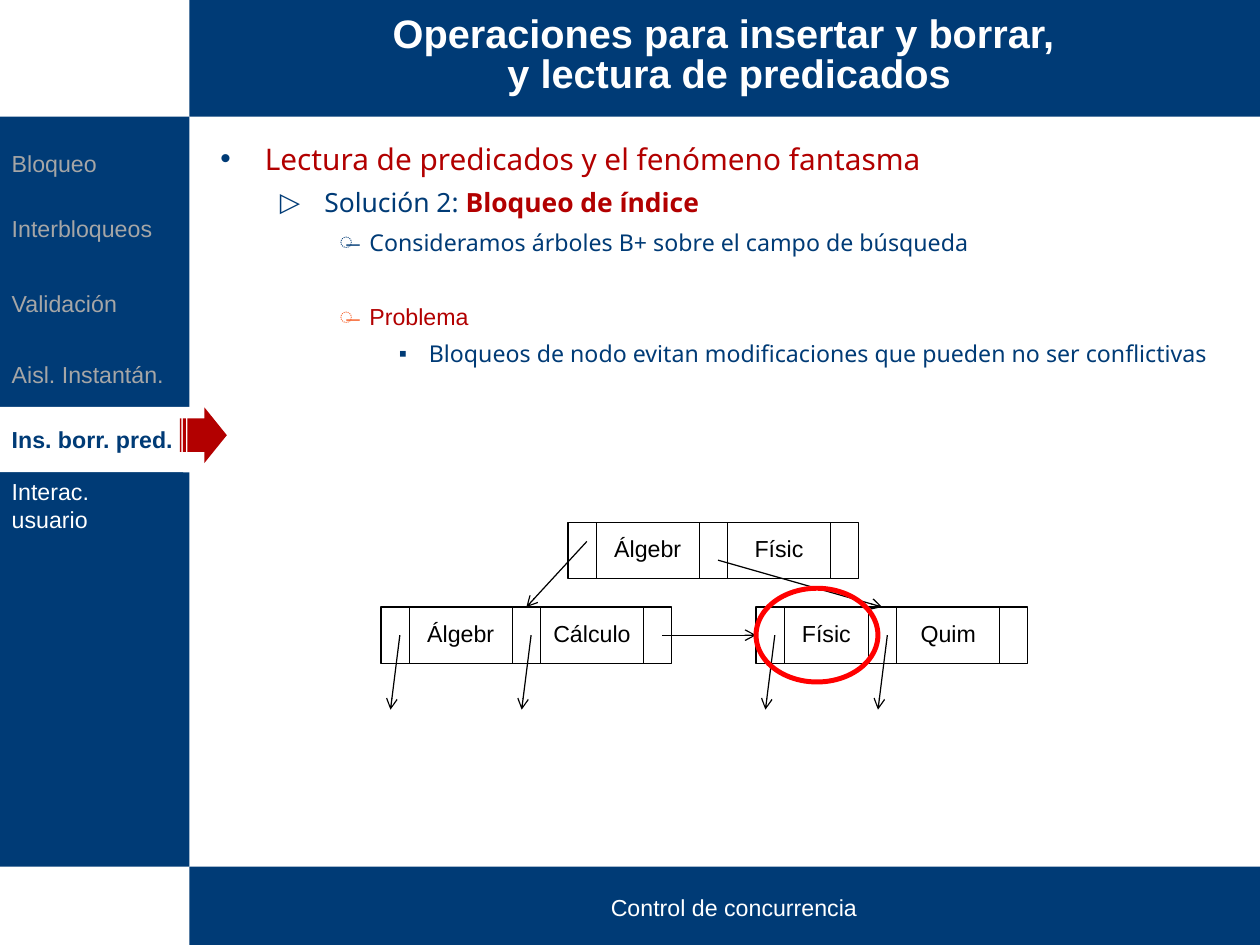
"""Builds a lecture slide on index locking for predicate reads."""
import copy

import pptx
import pptx.dml.color
import pptx.enum.shapes
import pptx.enum.text
import pptx.oxml.ns
import pptx.oxml.xmlchemy
import pptx.util

Cm = pptx.util.Cm
Pt = pptx.util.Pt
RGBColor = pptx.dml.color.RGBColor
SHAPE = pptx.enum.shapes.MSO_SHAPE
ALIGN = pptx.enum.text.PP_ALIGN
ANCHOR = pptx.enum.text.MSO_ANCHOR
OxmlElement = pptx.oxml.xmlchemy.OxmlElement
qn = pptx.oxml.ns.qn

NAVY = RGBColor(0x00, 0x3B, 0x76)
WHITE = RGBColor(0xFF, 0xFF, 0xFF)
BLACK = RGBColor(0x00, 0x00, 0x00)
GREY = RGBColor(0xA6, 0xA6, 0xA6)
CRIMSON = RGBColor(0xB2, 0x00, 0x00)
ORANGE = RGBColor(0xF6, 0x5D, 0x25)
RED = RGBColor(0xFF, 0x00, 0x00)

SANS = "Noto Sans"
POINTER_W, KEY_W, NODE_H = 0.6, 2.2, 1.2
INDENTS = [(0.95, 0.95), (2.22, 0.95), (3.18, 0.64), (4.45, 0.64)]


def box(x, y, w, h):
    """Return a position and size given in centimetres as lengths."""
    return Cm(x), Cm(y), Cm(w), Cm(h)


def write(p, text, size=14, font="Arial", color=WHITE, bold=False, align=None, spacing=None):
    """Add formatted text to a paragraph, with a line break at each newline."""
    if align is not None:
        p.alignment = align
    if spacing is not None:
        p.line_spacing = spacing
    for i, line in enumerate(text.split("\n")):
        if i:
            p.add_line_break()
            p._p[-1].append(copy.deepcopy(r.font._element))
        r = p.add_run()
        r.text = line
        r.font.size = Pt(size)
        r.font.name = font
        r.font.bold = bold
        r.font.color.rgb = color


def add_shape(slide, kind, x, y, w, h, fill=None, line=None, width=0.75):
    """Add a flat preset shape."""
    sp = slide.shapes.add_shape(kind, *box(x, y, w, h))
    sp.shadow.inherit = False
    if fill is None:
        sp.fill.background()
    else:
        sp.fill.solid()
        sp.fill.fore_color.rgb = fill
    if line is None:
        sp.line.fill.background()
    else:
        sp.line.color.rgb = line
        sp.line.width = Pt(width)
    return sp


def add_arrow(slide, x1, y1, x2, y2):
    """Add a thin black line with an open arrowhead at its end."""
    c = slide.shapes.add_connector(
        pptx.enum.shapes.MSO_CONNECTOR.STRAIGHT, Cm(x1), Cm(y1), Cm(x2), Cm(y2))
    c.line.color.rgb = BLACK
    c.line.width = Pt(0.75)
    spPr = c._element.spPr
    tail = OxmlElement("a:tailEnd")
    tail.set("type", "arrow")
    spPr.find(qn("a:ln")).append(tail)
    spPr.append(OxmlElement("a:effectLst"))


def place(sp, x, y, w, h, anchor, inset_x=0.25):
    """Move a text shape and set up its frame."""
    sp.left, sp.top, sp.width, sp.height = box(x, y, w, h)
    tf = sp.text_frame
    tf.word_wrap = True
    tf.auto_size = pptx.enum.text.MSO_AUTO_SIZE.NONE
    tf.vertical_anchor = anchor
    tf.margin_left = tf.margin_right = Cm(inset_x)
    tf.margin_top = tf.margin_bottom = Cm(0.13)
    return tf


def add_menu(slide):
    """Add the section menu at the left with its current entry marked."""
    entries = [("Bloqueo", 1.21, GREY), ("Interbloqueos", 1.6, GREY),
               ("Validación", 1.6, GREY), ("Aisl. Instantán.", 1.4, GREY),
               ("Ins. borr. pred.", 1.4, NAVY), ("Interac. usuario", 1.4, WHITE)]
    y = 2.87
    for text, h, color in entries:
        current = color == NAVY
        sp = add_shape(slide, SHAPE.RECTANGLE, 0, y, 4.34 if current else 3.91, h,
                       fill=WHITE if current else NAVY)
        write(sp.text_frame.paragraphs[0], text, color=color, bold=current, align=ALIGN.LEFT)
        y += h
    marker = add_shape(slide, SHAPE.STRIPED_RIGHT_ARROW, 3.84, 8.69, 1, 1.19, fill=CRIMSON)
    marker.adjustments[0] = 0.6
    marker.adjustments[1] = 0.48


def add_bullet(p, level, char, color, before=6):
    """Give a paragraph its level, hanging indent and bullet."""
    p.level = level
    p.space_before = Pt(before)
    pPr = p._p.get_or_add_pPr()
    left, hang = INDENTS[level]
    pPr.set("marL", str(Cm(left)))
    pPr.set("indent", str(-Cm(hang)))
    clr = OxmlElement("a:buClr")
    rgb = OxmlElement("a:srgbClr")
    rgb.set("val", str(color))
    clr.append(rgb)
    bu = OxmlElement("a:buChar")
    bu.set("char", char)
    pPr.extend([clr, bu])


def fill_body(tf):
    """Write the bulleted outline."""
    items = [
        (0, "•", NAVY, 6, [("Lectura de predicados y el fenómeno fantasma",
                            dict(size=18, font=SANS, color=CRIMSON))]),
        (1, "▷", NAVY, 6, [("Solución 2: ", dict(size=16, font=SANS, color=NAVY)),
                           ("Bloqueo de índice",
                            dict(size=16, font=SANS, color=CRIMSON, bold=True))]),
        (2, "̶", NAVY, 6, [("Consideramos árboles B+ sobre el campo de búsqueda",
                            dict(font=SANS, color=NAVY))]),
        (2, "̶", ORANGE, 28, [("Problema", dict(color=CRIMSON))]),
        (3, "▪", NAVY, 6, [("Bloqueos de nodo evitan modificaciones que pueden no ser conflictivas",
                            dict(font=SANS, color=NAVY))]),
    ]
    for i, (level, char, color, before, runs) in enumerate(items):
        p = tf.add_paragraph() if i else tf.paragraphs[0]
        add_bullet(p, level, char, color, before)
        for text, style in runs:
            write(p, text, **style)


def add_node(slide, x, y, keys):
    """Add a tree node of alternating pointers and keys; return the pointers' left edges."""
    pointers = [x]
    add_shape(slide, SHAPE.RECTANGLE, x, y, POINTER_W, NODE_H, line=BLACK)
    for text, w in keys:
        x += POINTER_W
        sp = add_shape(slide, SHAPE.RECTANGLE, x, y, w, NODE_H, line=BLACK)
        tf = sp.text_frame
        tf.margin_left = tf.margin_right = 0
        write(tf.paragraphs[0], text, color=BLACK, align=ALIGN.CENTER, spacing=0.85)
        x += w
        add_shape(slide, SHAPE.RECTANGLE, x, y, POINTER_W, NODE_H, line=BLACK)
        pointers.append(x)
    return pointers


def add_tree(slide):
    """Add the B+ tree with its links and the locked node."""
    root_y, leaf_y = 11.15, 12.95
    mid_y = leaf_y + NODE_H / 2
    root = add_node(slide, 12.12, root_y, [("Álgebr", KEY_W), ("Físic", KEY_W)])
    left = add_node(slide, 8.13, leaf_y, [("Álgebr", KEY_W), ("Cálculo", KEY_W)])
    right = add_node(slide, 16.13, leaf_y, [("Físic", 1.8), ("Quim", KEY_W)])
    for x in left[:2] + right[:2]:
        add_arrow(slide, x + 0.4, mid_y, x + 0.2, 15.14)
    add_arrow(slide, left[2] + 0.4, mid_y, right[0], mid_y)
    add_arrow(slide, root[0] + 0.4, root_y + 0.4, 11.23, leaf_y)
    add_arrow(slide, root[1] + 0.4, root_y + 0.8, 18.82, leaf_y)
    add_shape(slide, SHAPE.OVAL, right[0], 12.55, 2.6, 2, line=RED, width=3)


def main():
    """Build and save the slide."""
    prs = pptx.Presentation()
    prs.slide_width, prs.slide_height = Cm(26.88), Cm(20.16)
    slide = prs.slides.add_slide(prs.slide_layouts[1])

    for band in [(4.04, 18.49, 22.84, 1.67), (0, 2.49, 4.04, 16), (4.04, 0, 22.84, 2.49)]:
        add_shape(slide, SHAPE.RECTANGLE, *band, fill=NAVY)

    title, body = slide.placeholders
    tf = place(title, 4.24, 0.48, 22.63, 1.45, ANCHOR.MIDDLE, 0.28)
    write(tf.paragraphs[0], "Operaciones para insertar y borrar, \ny lectura de predicados",
          size=24, bold=True, align=ALIGN.CENTER, spacing=0.85)
    slide.shapes._spTree.append(title._element)

    fill_body(place(body, 4.45, 2.87, 22.1, 15.39, ANCHOR.TOP))

    footer = slide.shapes.add_textbox(*box(4.44, 18.82, 22.44, 0.97))
    tf = place(footer, 4.44, 18.82, 22.44, 0.97, ANCHOR.BOTTOM, 0.28)
    write(tf.paragraphs[0], "Control de concurrencia", align=ALIGN.CENTER, spacing=1.15)

    add_menu(slide)
    add_tree(slide)
    prs.save("out.pptx")


if __name__ == "__main__":
    main()
